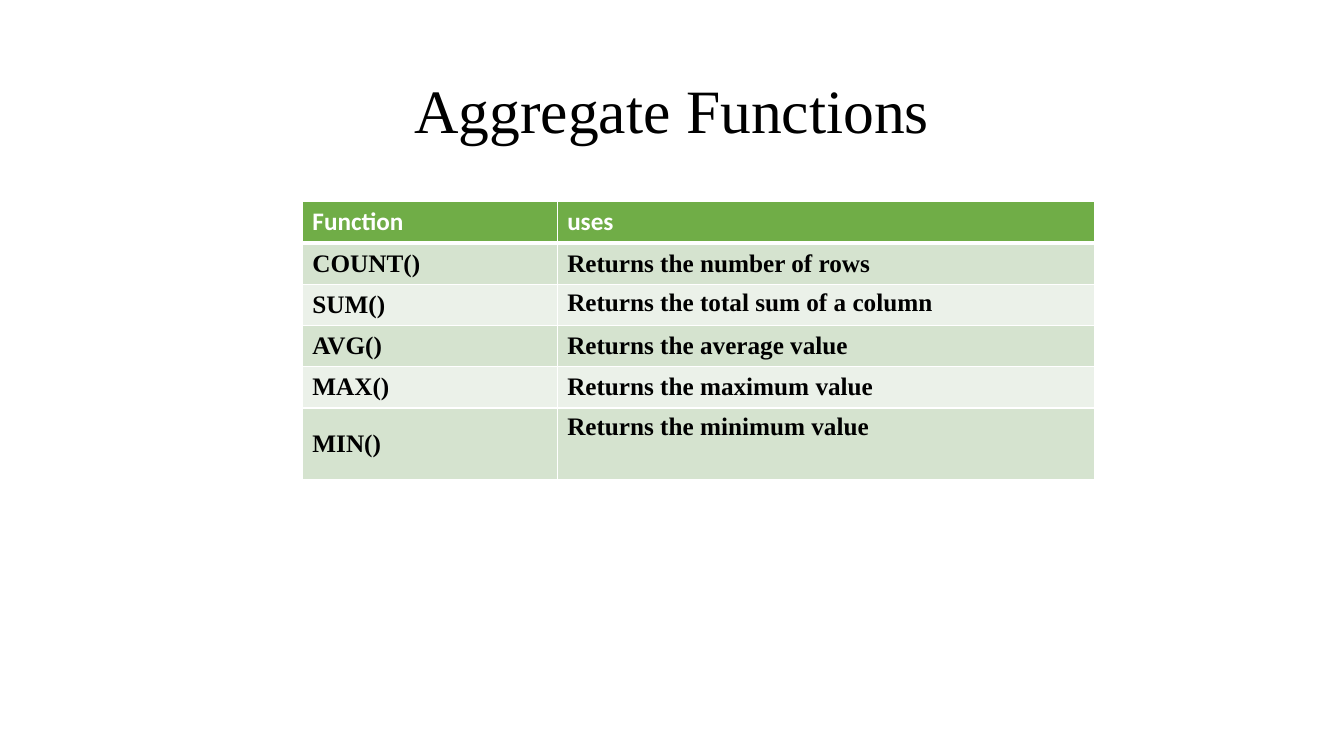
from lxml.etree import SubElement
from pptx import Presentation
from pptx.dml.color import RGBColor
from pptx.enum.text import MSO_ANCHOR, PP_ALIGN
from pptx.oxml.ns import qn
from pptx.util import Pt

HUES = {"ink": "000000", "white": "FFFFFF", "head": "70AD47",
        "dark": "D5E3CF", "light": "EBF1E9"}
SERIF, SANS = "Times New Roman", "Calibri"
TOP, MID = MSO_ANCHOR.TOP, MSO_ANCHOR.MIDDLE
ROWS = [
    ("Function", "uses", TOP, TOP),
    ("COUNT()", "Returns the number of rows", MID, MID),
    ("SUM()", "Returns the total sum of a column", MID, TOP),
    ("AVG()", "Returns the average value", MID, MID),
    ("MAX()", "Returns the maximum value", MID, MID),
    ("MIN()", "Returns the minimum value", MID, TOP),
]


class Deck:
    def __init__(self):
        self.file = Presentation()
        self.file.slide_width = Pt(960)
        self.file.slide_height = Pt(540)
        self.slide = self.file.slides.add_slide(self.file.slide_layouts[6])

    def run(self, para, text, size, face, hue, bold=False):
        run = para.add_run()
        run.text = text
        run.font.size = Pt(size)
        run.font.name = face
        run.font.bold = bold
        run.font.color.rgb = RGBColor.from_string(HUES[hue])

    def title(self, text, left, top, width, height):
        box = self.slide.shapes.add_textbox(Pt(left), Pt(top), Pt(width), Pt(height))
        frame = box.text_frame
        frame.word_wrap = True
        frame.vertical_anchor = MID
        para = frame.paragraphs[0]
        para.alignment = PP_ALIGN.CENTER
        para.line_spacing = 0.9
        self.run(para, text, 44, SERIF, "ink")

    def border(self, cell, sides):
        props = cell._tc.get_or_add_tcPr()
        for side, width in sides.items():
            line = SubElement(props, qn(f"a:ln{side}"), w=str(Pt(width)))
            fill = SubElement(line, qn("a:solidFill"))
            SubElement(fill, qn("a:srgbClr"), val=HUES["white"])

    def cell(self, cell, text, row, anchor):
        self.border(cell, {"L": 1, "R": 1, "T": 3 if row == 1 else 1,
                           "B": 3 if row == 0 else 1})
        hue = "head" if row == 0 else "dark" if row % 2 else "light"
        cell.fill.solid()
        cell.fill.fore_color.rgb = RGBColor.from_string(HUES[hue])
        cell.vertical_anchor = anchor
        face, ink = (SANS, "white") if row == 0 else (SERIF, "ink")
        self.run(cell.text_frame.paragraphs[0], text, 18, face, ink, True)

    def table(self, rows, left, top, widths, heights):
        grid = self.slide.shapes.add_table(
            len(rows), len(widths), Pt(left), Pt(top),
            Pt(sum(widths)), Pt(sum(heights))).table
        for col, width in zip(grid.columns, widths):
            col.width = Pt(width)
        for line, height in zip(grid.rows, heights):
            line.height = Pt(height)
        for row, (name, use, first, last) in enumerate(rows):
            self.cell(grid.cell(row, 0), name, row, first)
            self.cell(grid.cell(row, 1), use, row, last)


def main():
    deck = Deck()
    deck.title("Aggregate Functions", 66, 28.8, 828, 104.4)
    deck.table(ROWS, 216, 144, [182, 384], [29.5] * 5 + [51.5])
    deck.file.save("out.pptx")


if __name__ == "__main__":
    main()
